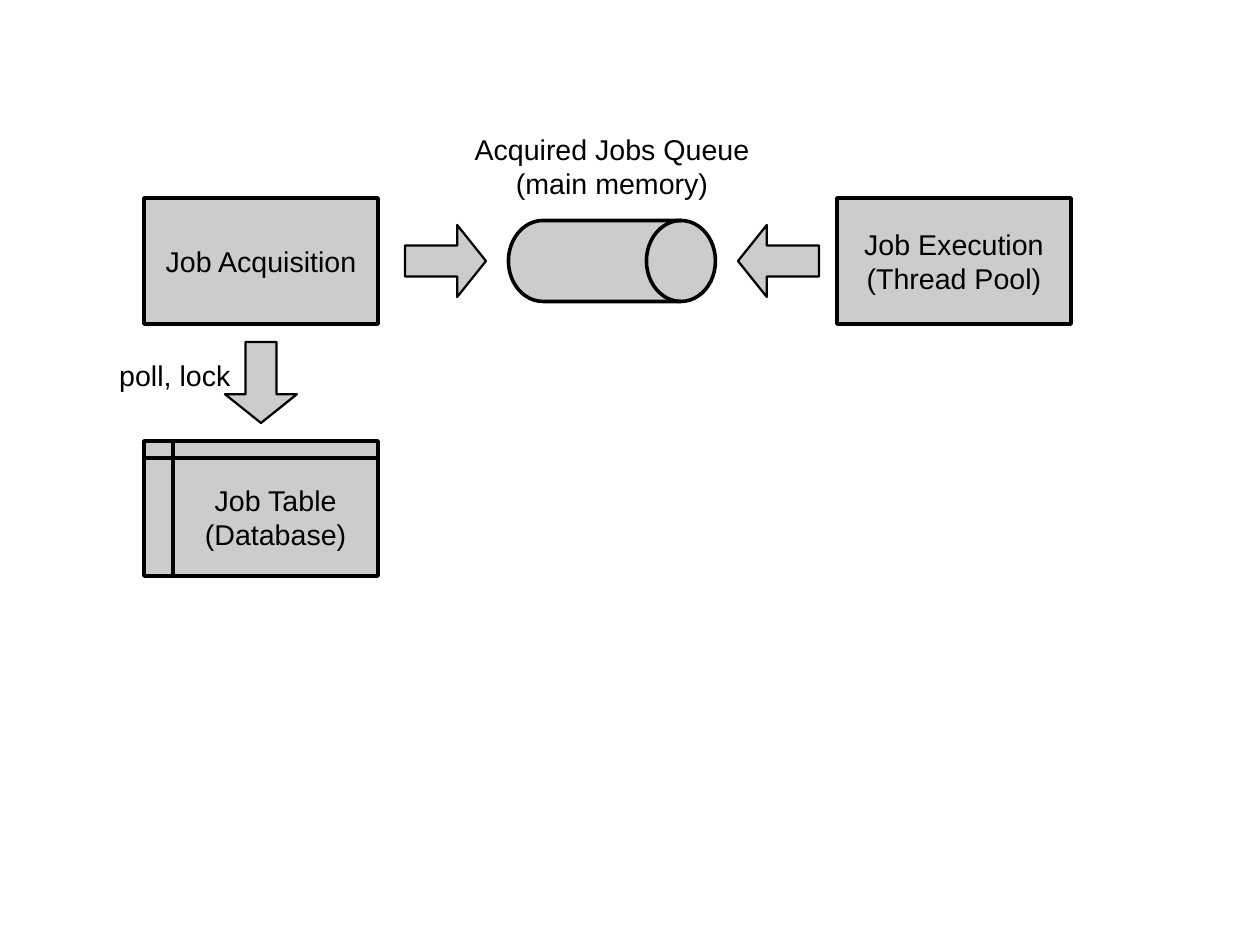
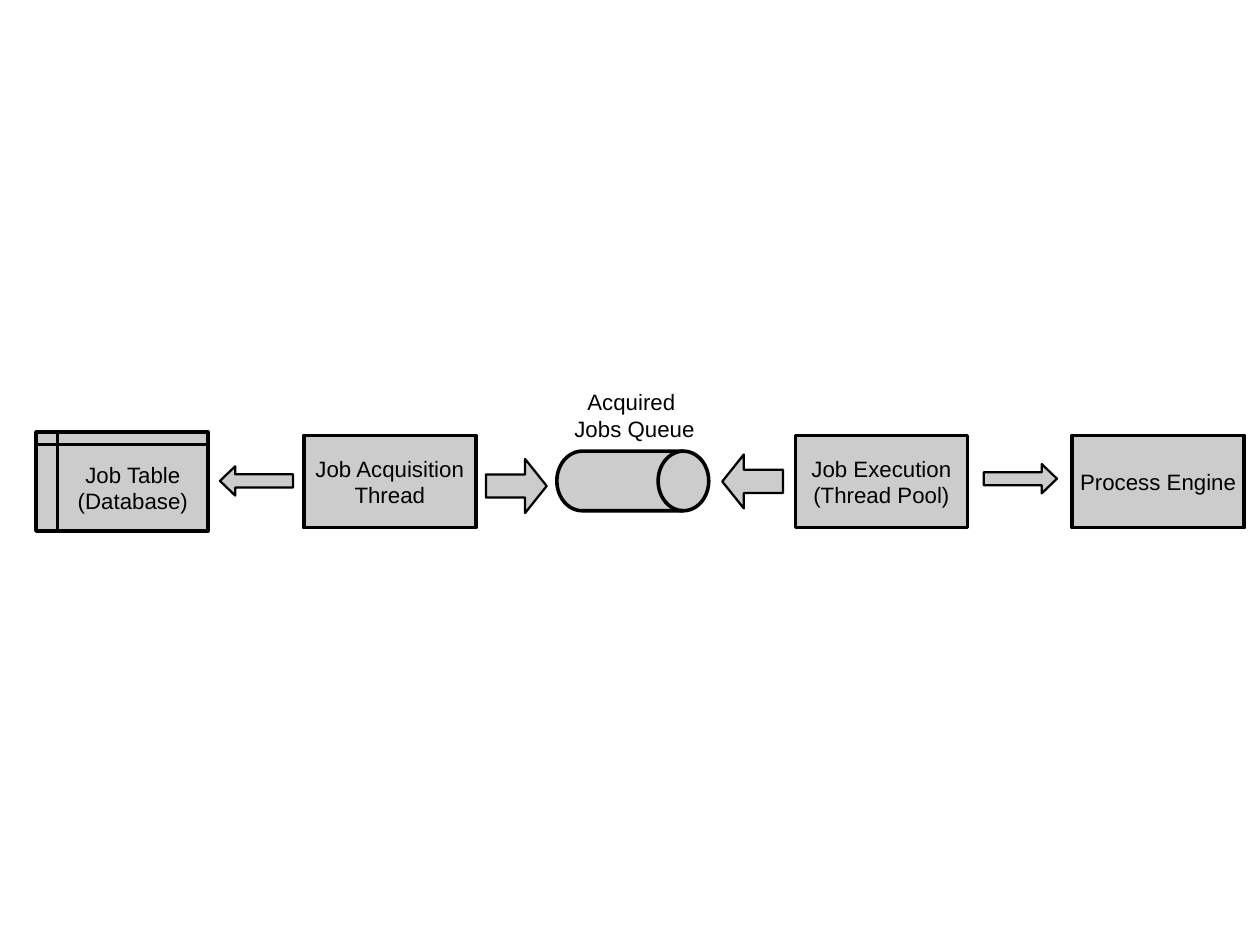
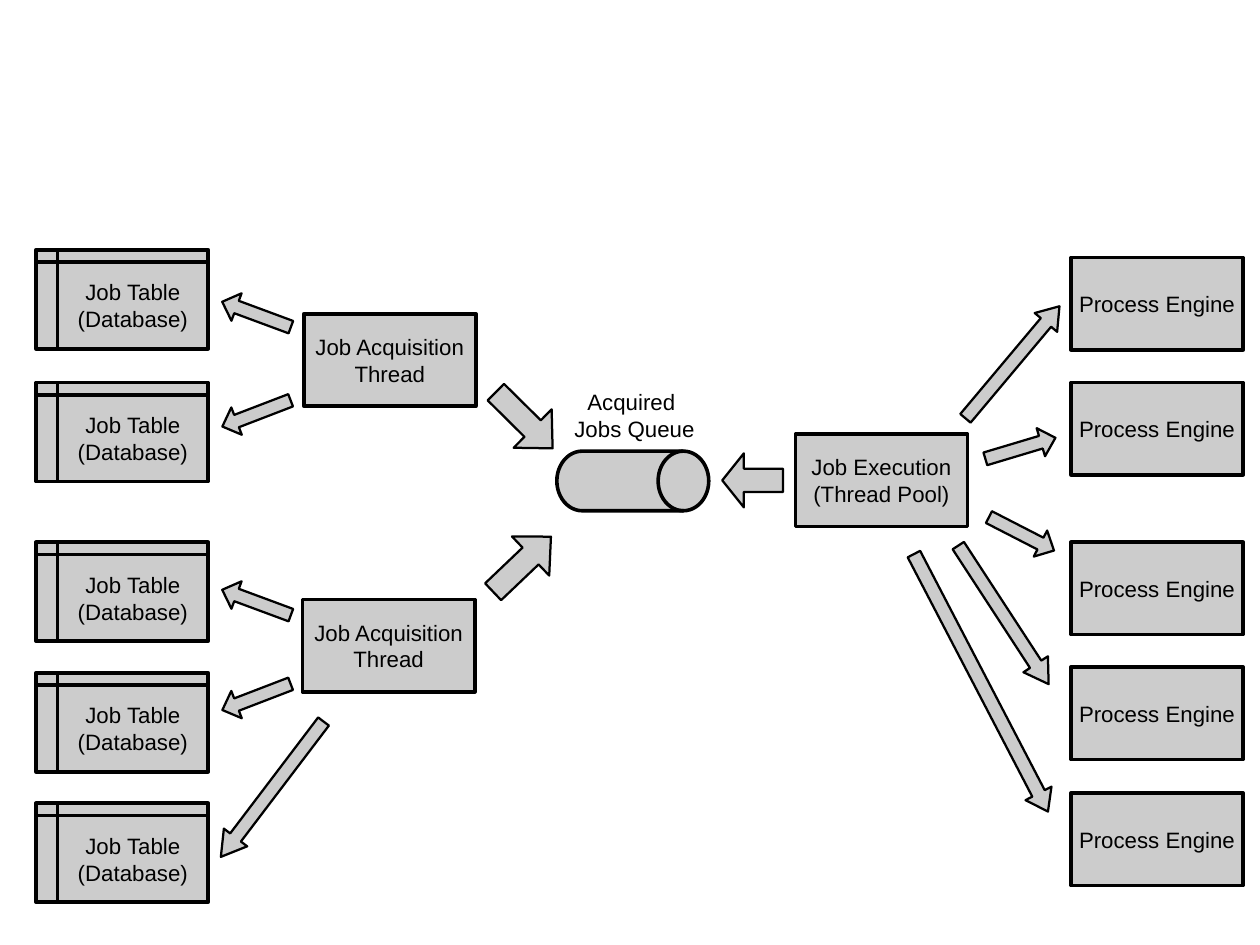
from pptx import Presentation
from pptx.dml.color import RGBColor
from pptx.enum.shapes import MSO_SHAPE
from pptx.enum.text import MSO_ANCHOR, PP_ALIGN
from pptx.util import Emu, Pt

PX = 9000
BLANK_LAYOUT = 6
FONT = "Arial"
COLOURS = {"fill": "CCCCCC", "ink": "000000"}
OUTLINE = 2.27
ARROW_OUTLINE = 1.42
LARGE_TEXT, SMALL_TEXT = 18, 14

PROCESS = MSO_SHAPE.FLOWCHART_PROCESS
STORAGE = MSO_SHAPE.FLOWCHART_INTERNAL_STORAGE
DRUM = MSO_SHAPE.FLOWCHART_DIRECT_ACCESS_STORAGE
DOWN_ARROW = MSO_SHAPE.DOWN_ARROW
MIDDLE = MSO_ANCHOR.MIDDLE
CENTER, LEFT = PP_ALIGN.CENTER, PP_ALIGN.LEFT

PROCESS_SIZE = (153, 82)
STORAGE_SIZE = (153, 88)
DRUM_SIZE = (135, 53)

LARGE_ARROW = (64, 72, 0.43, 0.4)
QUEUE_ARROW = (48, 54, 0.43, 0.4)
SLANTED_QUEUE_ARROW = (48, 71, 0.43, 0.52)
THIN_ARROW = (26, 65, 0.45, 0.52)

JOB_TABLE = "Job Table\n(Database)"
ACQUISITION = "Job Acquisition\nThread"
EXECUTION = "Job Execution\n(Thread Pool)"
ENGINE = "Process Engine"
QUEUE = "Acquired \vJobs Queue"


def px(*lengths):
    return [Emu(length * PX) for length in lengths]


def colour(name):
    return RGBColor.from_string(COLOURS[name])


def write(frame, text, size, align):
    frame.text = text
    for para in frame.paragraphs:
        para.alignment = align
        for span in para.runs:
            span.font.name = FONT
            span.font.size = Pt(size)
            span.font.color.rgb = colour("ink")


def add_figure(page, kind, place, size, outline=OUTLINE):
    figure = page.shapes.add_shape(kind, *px(*place, *size))
    figure.shadow.inherit = False
    figure.fill.solid()
    figure.fill.fore_color.rgb = colour("fill")
    figure.line.color.rgb = colour("ink")
    figure.line.width = Pt(outline)
    return figure


def add_node(page, kind, place, size, text, text_size=SMALL_TEXT):
    frame = add_figure(page, kind, place, size).text_frame
    frame.word_wrap = False
    frame.vertical_anchor = MIDDLE
    frame.margin_left, frame.margin_top, frame.margin_right, frame.margin_bottom = px(11, 6, 11, 6)
    write(frame, text, text_size, CENTER)


def add_process(page, left, top, text):
    add_node(page, PROCESS, (left, top), PROCESS_SIZE, text)


def add_job_table(page, left, top):
    add_node(page, STORAGE, (left, top), STORAGE_SIZE, JOB_TABLE)


def add_arrow(page, left, top, style, rotation=0):
    width, height, shaft, head = style
    arrow = add_figure(page, DOWN_ARROW, (left, top), (width, height), ARROW_OUTLINE)
    arrow.adjustments[0] = shaft
    arrow.adjustments[1] = head
    arrow.rotation = rotation


def add_label(page, place, size, text, text_size=SMALL_TEXT, align=CENTER):
    frame = page.shapes.add_textbox(*px(*place, *size)).text_frame
    frame.word_wrap = True
    write(frame, text, text_size, align)


def add_queue(page):
    add_figure(page, DRUM, (495, 401), DRUM_SIZE)
    add_label(page, (428, 340), (272, 55), QUEUE)


def build_overview(page):
    add_figure(page, DRUM, (452, 196), (184, 72))
    for kind, place, size, text in (
        (PROCESS, (128, 176), (208, 112), "Job Acquisition"),
        (PROCESS, (744, 176), (208, 112), EXECUTION),
        (STORAGE, (128, 392), (208, 120), JOB_TABLE),
    ):
        add_node(page, kind, place, size, text, LARGE_TEXT)
    for left, top, rotation in ((200, 304, 0), (364, 196, 270), (660, 196, 90)):
        add_arrow(page, left, top, LARGE_ARROW, rotation)
    add_label(page, (408, 112), (272, 67), "Acquired Jobs Queue (main memory)", LARGE_TEXT)
    add_label(page, (96, 313), (128, 39), "poll, lock", LARGE_TEXT, LEFT)


def build_single_engine(page):
    add_queue(page)
    add_job_table(page, 32, 384)
    for left, text in ((270, ACQUISITION), (707, EXECUTION), (953, ENGINE)):
        add_process(page, left, 387, text)
    for left, top, style, rotation in (
        (215, 395, THIN_ARROW, 90),
        (435, 405, QUEUE_ARROW, 270),
        (645, 401, QUEUE_ARROW, 90),
        (894, 393, THIN_ARROW, 270),
    ):
        add_arrow(page, left, top, style, rotation)


def build_many_engines(page):
    add_queue(page)
    for top in (222, 340, 482, 598, 714):
        add_job_table(page, 32, top)
    for left, top in ((270, 279), (269, 533)):
        add_process(page, left, top, ACQUISITION)
    add_process(page, 707, 386, EXECUTION)
    for top in (229, 340, 482, 593, 705):
        add_process(page, 952, top, ENGINE)
    for left, top, style, rotation in (
        (215, 247, THIN_ARROW, 110.3),
        (215, 335, THIN_ARROW, 69),
        (215, 503, THIN_ARROW, 110.3),
        (215, 587, THIN_ARROW, 69),
        (229, 626, (26, 151, 0.46, 0.83), 37.2),
        (442, 338, SLANTED_QUEUE_ARROW, 314.7),
        (440, 466, SLANTED_QUEUE_ARROW, 226.4),
        (645, 400, QUEUE_ARROW, 90),
        (887, 257, (26, 130, 0.46, 0.72), 220),
        (894, 366, THIN_ARROW, 253.3),
        (895, 442, THIN_ARROW, 297.2),
        (879, 473, (26, 147, 0.46, 0.81), 326.9),
        (859, 478, (26, 258, 0.48, 0.7), 332.5),
    ):
        add_arrow(page, left, top, style, rotation)


def main():
    deck = Presentation()
    deck.slide_width, deck.slide_height = px(1120, 840)
    for build in (build_overview, build_single_engine, build_many_engines):
        build(deck.slides.add_slide(deck.slide_layouts[BLANK_LAYOUT]))
    deck.save("out.pptx")


if __name__ == "__main__":
    main()
